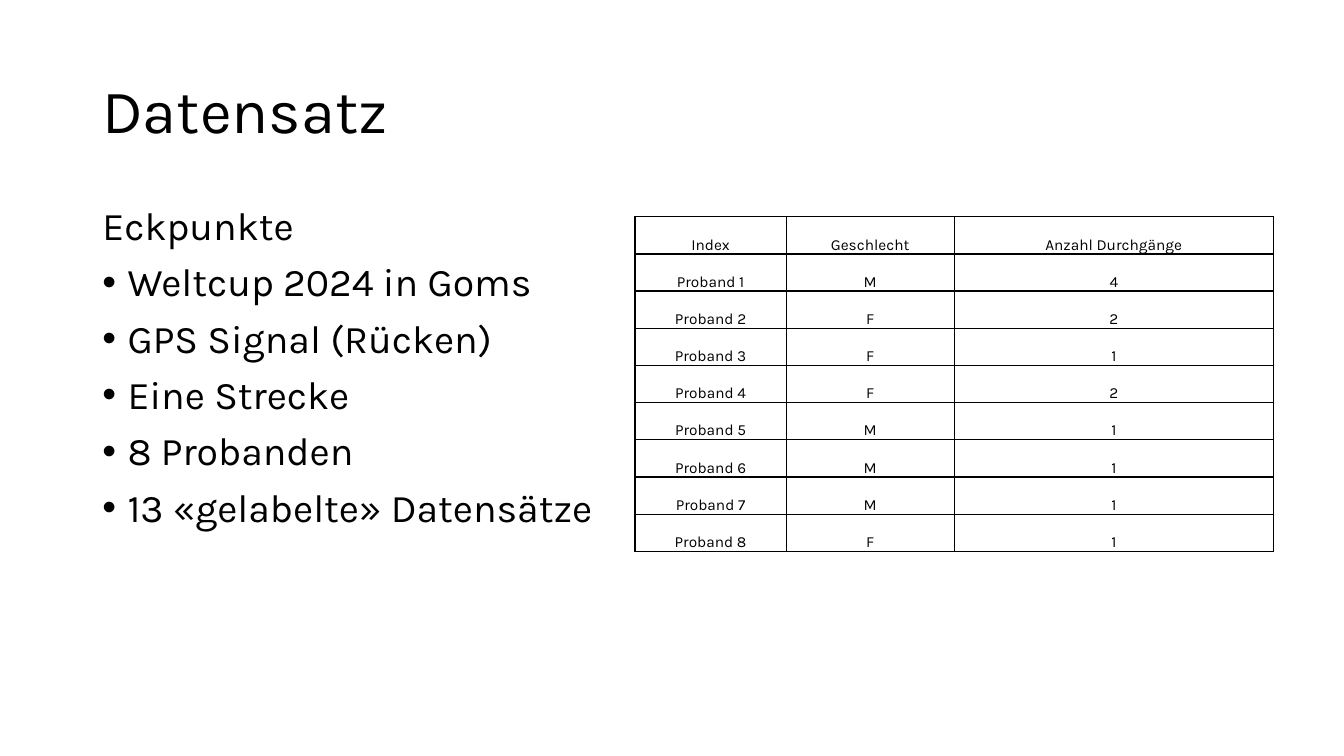
from dataclasses import dataclass

from lxml import etree
from pptx import Presentation
from pptx.dml.color import RGBColor
from pptx.enum.text import MSO_ANCHOR, PP_ALIGN
from pptx.oxml.ns import qn
from pptx.util import Inches, Pt

TOP, MIDDLE, BOTTOM = MSO_ANCHOR.TOP, MSO_ANCHOR.MIDDLE, MSO_ANCHOR.BOTTOM
CENTER = PP_ALIGN.CENTER
GRID_COLS, GRID_ROWS = 160, 90


@dataclass(frozen=True)
class Theme:
    font: str = "Karla"
    ink: str = "000000"
    title: int = 44
    body: int = 28
    table: int = 11
    border: int = 1
    line_spacing: float = 0.9
    space_before: int = 10
    indent: float = 0.25
    cell_inset: float = 0.01


THEME = Theme()

KEY_POINTS = [
    "Weltcup 2024 in Goms",
    "GPS Signal (Rücken)",
    "Eine Strecke",
    "8 Probanden",
    "13 «gelabelte» Datensätze",
]
HEADER = ("Index", "Geschlecht", "Anzahl Durchgänge")
SUBJECTS = [("M", 4), ("F", 2), ("F", 1), ("F", 2),
            ("M", 1), ("M", 1), ("M", 1), ("F", 1)]
COLUMN_SPANS = (18, 20, 38)
ROW_SPAN = 4.43


def across(prs, cols):
    return round(prs.slide_width * cols / GRID_COLS)


def down(prs, rows):
    return round(prs.slide_height * rows / GRID_ROWS)


def place(prs, left, top, width, height):
    return across(prs, left), down(prs, top), across(prs, width), down(prs, height)


def add_run(p, text, size):
    r = p.add_run()
    r.text = text
    r.font.name = THEME.font
    r.font.size = Pt(size)
    r.font.color.rgb = RGBColor.from_string(THEME.ink)


def add_text_frame(prs, s, box, anchor):
    tf = s.shapes.add_textbox(*place(prs, *box)).text_frame
    tf.word_wrap = True
    tf.vertical_anchor = anchor
    return tf


def add_bullet(p):
    pPr = p._p.get_or_add_pPr()
    indent = Inches(THEME.indent)
    pPr.set("marL", str(indent))
    pPr.set("indent", str(-indent))
    etree.SubElement(pPr, qn("a:buFont")).set("typeface", "Arial")
    etree.SubElement(pPr, qn("a:buChar")).set("char", "•")


def add_title(prs, s, text):
    p = add_text_frame(prs, s, (11, 4.8, 138, 17.4), MIDDLE).paragraphs[0]
    p.line_spacing = THEME.line_spacing
    add_run(p, text, THEME.title)


def add_key_points(prs, s, heading, points):
    tf = add_text_frame(prs, s, (11, 24, 138, 57.1), TOP)
    for i, text in enumerate([heading, *points]):
        p = tf.add_paragraph() if i else tf.paragraphs[0]
        p.line_spacing = THEME.line_spacing
        p.space_before = Pt(THEME.space_before)
        if i:
            add_bullet(p)
        add_run(p, text, THEME.body)


def add_borders(cell):
    tcPr = cell._tc.get_or_add_tcPr()
    for i, side in enumerate(("lnL", "lnR", "lnT", "lnB")):
        ln = etree.Element(qn(f"a:{side}"), w=str(Pt(THEME.border)))
        fill = etree.SubElement(ln, qn("a:solidFill"))
        etree.SubElement(fill, qn("a:srgbClr")).set("val", THEME.ink)
        tcPr.insert(i, ln)


def fill_cell(cell, text):
    cell.fill.background()
    cell.vertical_anchor = BOTTOM
    cell.margin_left = cell.margin_right = cell.margin_top = Inches(THEME.cell_inset)
    cell.margin_bottom = 0
    p = cell.text_frame.paragraphs[0]
    p.alignment = CENTER
    add_run(p, text, THEME.table)
    add_borders(cell)


def add_subject_table(prs, s, rows):
    box = (75.6, 25.8, sum(COLUMN_SPANS), ROW_SPAN * len(rows))
    sp = s.shapes.add_table(len(rows), len(COLUMN_SPANS), *place(prs, *box))
    table = sp.table
    table.first_row = table.horz_banding = False
    for column, span in zip(table.columns, COLUMN_SPANS):
        column.width = across(prs, span)
    for row, values in zip(table.rows, rows):
        row.height = down(prs, ROW_SPAN)
        for cell, value in zip(row.cells, values):
            fill_cell(cell, str(value))


def main():
    prs = Presentation()
    prs.slide_width, prs.slide_height = Inches(13.33), Inches(7.5)
    s = prs.slides.add_slide(prs.slide_layouts[6])
    add_title(prs, s, "Datensatz")
    add_key_points(prs, s, "Eckpunkte", KEY_POINTS)
    subjects = [(f"Proband {i}", *values) for i, values in enumerate(SUBJECTS, 1)]
    add_subject_table(prs, s, [HEADER, *subjects])
    prs.save("out.pptx")


if __name__ == "__main__":
    main()
